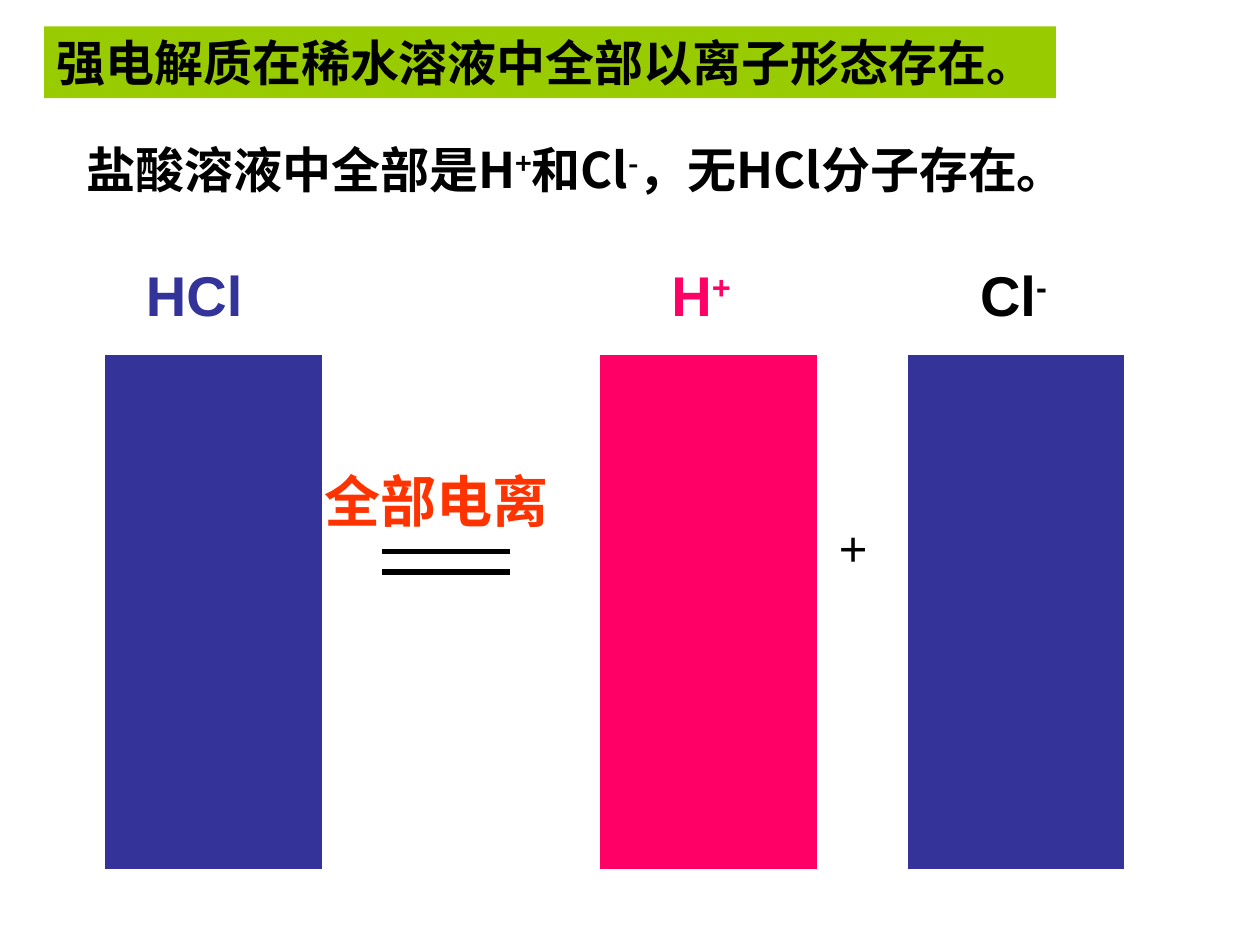
from lxml import etree
from pptx import Presentation
from pptx import util as u
from pptx.dml.color import RGBColor
from pptx.enum import shapes, text
from pptx.oxml.ns import qn

# Slide grid: 100 columns by 75 rows, each cell a tenth of an inch
COLUMNS, ROWS = 100, 75
CELL = u.Inches(0.1)
CJK = "Noto Sans CJK SC"
COLORS = {"banner": "99CC00", "molecule": "333399", "cation": "FF0066",
          "text": "000000", "reaction": "FF3300", "edge": "FFFFFF"}


def cells(*counts):
    return [round(count * CELL) for count in counts]


def color(name):
    return RGBColor.from_string(COLORS[name])


def write(shape, parts, size, ink="text", font="Arial", bold=True, wrap=True):
    """Fill a shape with runs; a part starting with ^ is a superscript."""
    frame = shape.text_frame
    frame.word_wrap = wrap
    frame.auto_size = text.MSO_AUTO_SIZE.SHAPE_TO_FIT_TEXT
    frame.vertical_anchor = text.MSO_ANCHOR.TOP
    paragraph = frame.paragraphs[0]
    paragraph.alignment = text.PP_ALIGN.LEFT
    for part in parts:
        run = paragraph.add_run()
        run.text = part.removeprefix("^")
        run.font.size = u.Pt(size)
        run.font.bold = bold
        run.font.name = font
        run.font.color.rgb = color(ink)
        properties = run.font._element
        east_asian = etree.Element(qn("a:ea"), typeface=CJK)
        properties.find(qn("a:latin")).addnext(east_asian)
        if part.startswith("^"):
            properties.set("baseline", "30000")


def add_block(parent, box, fill):
    block = parent.add_shape(shapes.MSO_SHAPE.RECTANGLE, *cells(*box))
    block.shadow.inherit = False
    block.fill.solid()
    block.fill.fore_color.rgb = color(fill)
    block.line.fill.background()
    return block


def add_banner(parent, box):
    banner = add_block(parent, box, "banner")
    write(banner, ["强电解质在稀水溶液中全部以离子形态存在。"], 28)


def add_statement(parent, box):
    statement = parent.add_textbox(*cells(*box))
    write(statement, ["盐酸溶液中全部是H", "^+", "和Cl", "^-", "，无HCl分子存在。"],
          28, font=CJK)


def add_species(parent, box, formula, label_inset, label_width, fill, ink):
    """A formula above the bar that stands for its amount."""
    left, top, width, height = box
    bar_top = 7.9
    group = parent.add_group_shape().shapes
    bar = add_block(group, (left, top + bar_top, width, height - bar_top), fill)
    bar.line.color.rgb = color("edge")
    bar.line.width = u.Pt(0.75)
    label = group.add_textbox(*cells(left + label_inset, top, label_width, 6.4))
    write(label, formula, 32, ink, wrap=False)


def add_reaction(parent, box):
    """The words above a double line that stands for an equals sign."""
    left, top, width, height = box
    group = parent.add_group_shape().shapes
    for share in (0.82, 1):
        y = top + height * share
        stroke = group.add_connector(
            shapes.MSO_CONNECTOR.STRAIGHT,
            *cells(left + 5.5, y, left + 15.7, y))
        stroke.line.color.rgb = color("text")
        stroke.line.width = u.Pt(3)
        etree.SubElement(stroke._element.spPr, qn("a:effectLst"))
    caption = group.add_textbox(*cells(left, top, width, 6.4))
    write(caption, ["全部电离"], 32, "reaction", wrap=False)


def add_plus(parent, box):
    write(parent.add_textbox(*cells(*box)), ["+"], 28, bold=False, wrap=False)


def main():
    deck = Presentation()
    deck.slide_width, deck.slide_height = cells(COLUMNS, ROWS)
    parts = deck.slides.add_slide(deck.slide_layouts[6]).shapes

    add_banner(parts, (3.5, 2.1, 80.3, 5.7))
    add_statement(parts, (5.9, 10.6, 81.1, 5.7))
    species = [
        (8.3, ["HCl"], 2.3, 11, "molecule", "molecule"),
        (47.6, ["H", "^+"], 4.7, 7.1, "cation", "cation"),
        (72, ["Cl", "^-"], 4.8, 8.7, "molecule", "text"),
    ]
    for left, *details in species:
        add_species(parts, (left, 20.2, 17.3, 48.8), *details)
    add_reaction(parts, (24.8, 36.5, 20.5, 8.9))
    add_plus(parts, (65.6, 40.6, 4.7, 5.7))

    deck.save("out.pptx")


if __name__ == "__main__":
    main()
